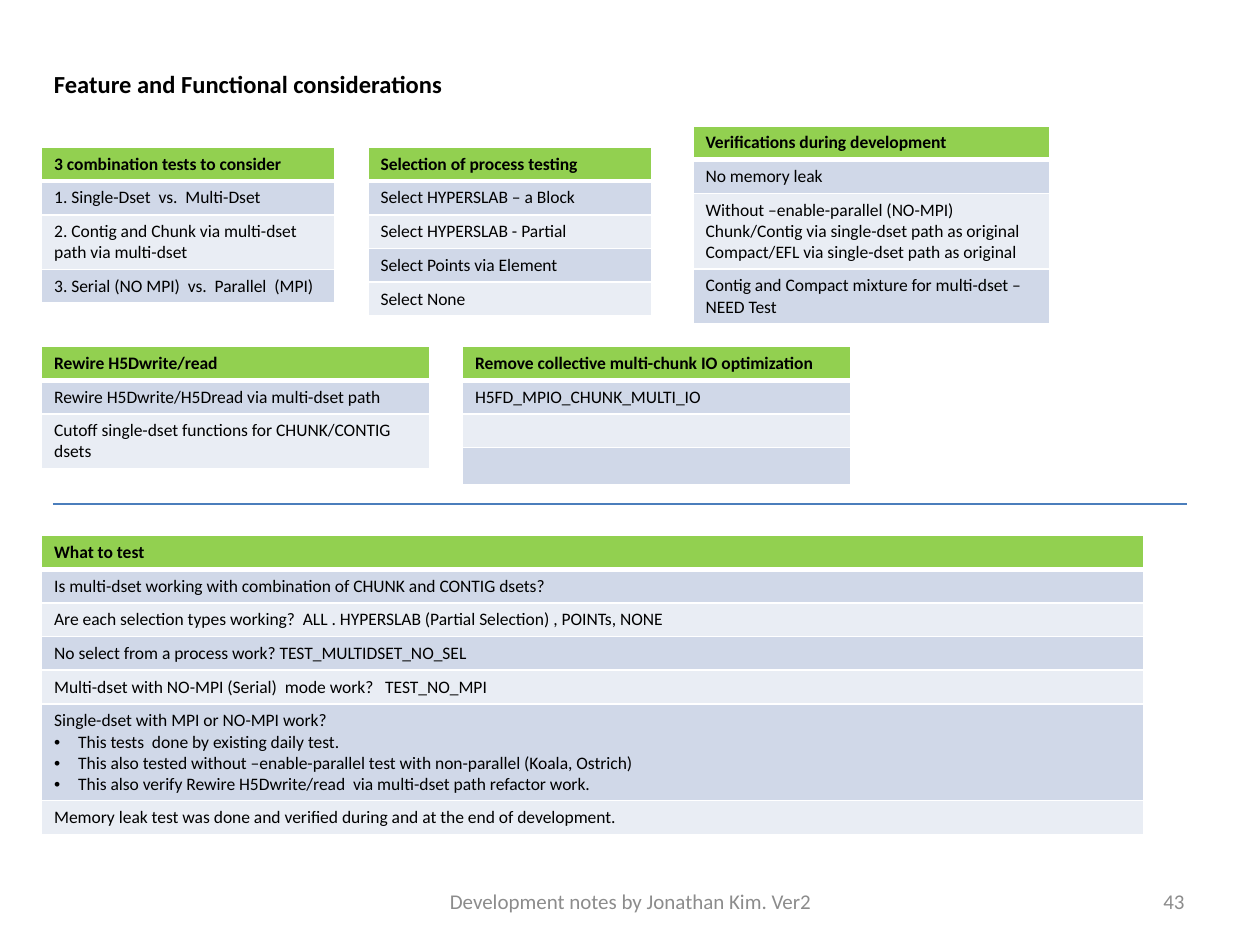
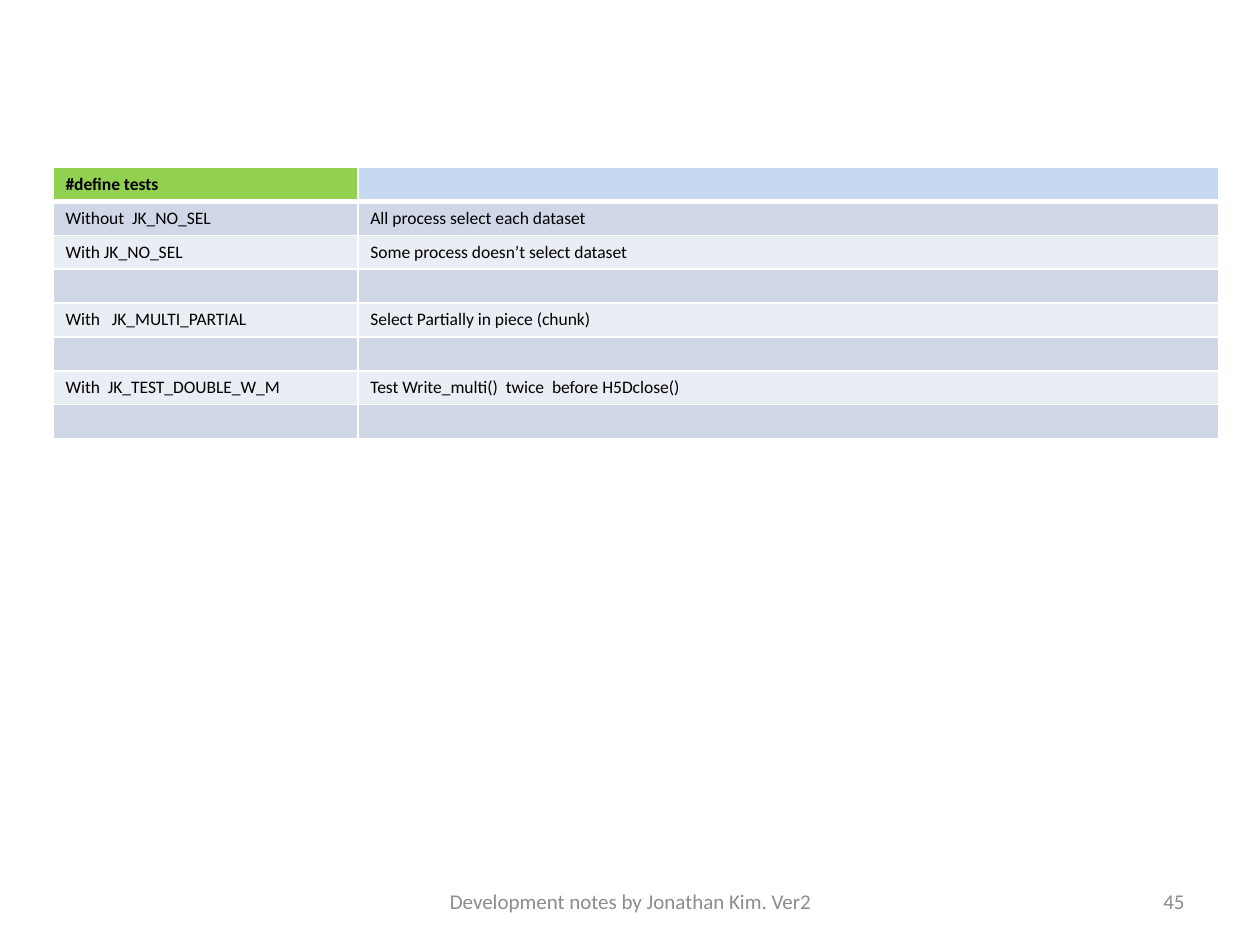
from lxml import etree
from pptx import Presentation
from pptx.dml.color import RGBColor
from pptx.enum.shapes import MSO_CONNECTOR
from pptx.enum.text import MSO_ANCHOR, PP_ALIGN
from pptx.oxml.ns import qn
from pptx.util import Inches, Pt

FONT = "Calibri"
BLACK, WHITE, GRAY = "000000", "FFFFFF", "8C8C8C"
GREEN, PALE_BLUE, RULE_BLUE = "92D050", "C6D9F1", "4B7EBC"
BANDS = ("E9EDF4", "D0D8E8")
BULLET = "• "
FOOTER = "Development notes by Jonathan Kim. Ver2"
TITLE_FMT = {"name": FONT, "size": Pt(14), "bold": True}
HEAD_FMT = {"name": FONT, "size": Pt(10), "bold": True}
BODY_FMT = {"name": FONT, "size": Pt(10), "bold": False}
FOOTER_FMT = {"name": FONT, "size": Pt(12)}

FEATURE_TABLES = [
    ((0.33, 1.17, 2.33), (1, 1, 2, 1), [
        "3 combination tests to consider",
        "1. Single-Dset  vs.  Multi-Dset",
        "2. Contig and Chunk via multi-dset path via multi-dset",
        "3. Serial (NO MPI)  vs.  Parallel  (MPI)"]),
    ((5.5, 1, 2.83), (1, 1, 3, 2), [
        "Verifications during development",
        "No memory leak",
        "Without –enable-parallel (NO-MPI)\n"
        "Chunk/Contig via single-dset path as original\n"
        "Compact/EFL via single-dset path as original",
        "Contig and Compact mixture for multi-dset – NEED Test"]),
    ((2.92, 1.17, 2.25), (1, 1, 1, 1, 1), [
        "Selection of process testing",
        "Select HYPERSLAB – a Block",
        "Select HYPERSLAB - Partial",
        "Select Points via Element",
        "Select None"]),
    ((0.33, 2.75, 3.08), (1, 1, 2), [
        "Rewire H5Dwrite/read",
        "Rewire H5Dwrite/H5Dread via multi-dset path",
        "Cutoff single-dset functions for CHUNK/CONTIG dsets"]),
    ((3.67, 2.75, 3.08), (1, 1, 1, 1.15), [
        "Remove collective multi-chunk IO optimization",
        "H5FD_MPIO_CHUNK_MULTI_IO", "", ""]),
    ((0.33, 4.25, 8.75), (1, 1, 1, 1, 1, 4, 1), [
        "What to test",
        "Is multi-dset working with combination of CHUNK and CONTIG dsets?",
        "Are each selection types working?  ALL . HYPERSLAB (Partial Selection) , POINTs, NONE",
        "No select from a process work? TEST_MULTIDSET_NO_SEL",
        "Multi-dset with NO-MPI (Serial)  mode work?   TEST_NO_MPI",
        "Single-dset with MPI or NO-MPI work?\n"
        "• This tests  done by existing daily test.\n"
        "• This also tested without –enable-parallel test with non-parallel (Koala, Ostrich)\n"
        "• This also verify Rewire H5Dwrite/read  via multi-dset path refactor work.",
        "Memory leak test was done and verified during and at the end of development."]),
]
DEFINE_TESTS = [
    ("#define tests", ""),
    ("Without  JK_NO_SEL", "All process select each dataset"),
    ("With JK_NO_SEL", "Some process doesn’t select dataset"),
    ("", ""),
    ("With   JK_MULTI_PARTIAL", "Select Partially in piece (chunk)"),
    ("", ""),
    ("With  JK_TEST_DOUBLE_W_M", "Test Write_multi()  twice  before H5Dclose()"),
    ("", ""),
]


def rgb(color):
    return RGBColor.from_string(color)


def add_run(p, text, fmt, color):
    r = p.add_run()
    r.text = text
    for key, value in fmt.items():
        setattr(r.font, key, value)
    r.font.color.rgb = rgb(color)


def add_text(s, box, text, fmt, color=BLACK, align=PP_ALIGN.LEFT, anchor=MSO_ANCHOR.TOP):
    tf = s.shapes.add_textbox(*map(Inches, box)).text_frame
    tf.word_wrap = True
    tf.vertical_anchor = anchor
    p = tf.paragraphs[0]
    p.alignment = align
    add_run(p, text, fmt, color)


def set_bullet(p):
    pPr = p._p.get_or_add_pPr()
    pPr.set("marL", str(Inches(0.19)))
    pPr.set("indent", str(-Inches(0.19)))
    etree.SubElement(pPr, qn("a:buFont"), typeface="Arial")
    etree.SubElement(pPr, qn("a:buChar"), char="•")


def set_borders(cell, row):
    widths = {"lnL": 1, "lnR": 1, "lnT": 3 if row == 1 else 1, "lnB": 3 if row == 0 else 1}
    tcPr = cell._tc.get_or_add_tcPr()
    for side, width in widths.items():
        ln = etree.SubElement(tcPr, qn(f"a:{side}"), w=str(Pt(width)))
        fill = etree.SubElement(ln, qn("a:solidFill"))
        etree.SubElement(fill, qn("a:srgbClr"), val=WHITE)


def fill_cell(cell, text, row, fill):
    set_borders(cell, row)
    cell.fill.solid()
    cell.fill.fore_color.rgb = rgb(fill)
    tf = cell.text_frame
    if not text:
        etree.SubElement(tf.paragraphs[0]._p, qn("a:endParaRPr"), sz="1000")
        return
    for i, line in enumerate(text.split("\n")):
        p = tf.add_paragraph() if i else tf.paragraphs[0]
        if line.startswith(BULLET):
            set_bullet(p)
        add_run(p, line.removeprefix(BULLET), BODY_FMT if row else HEAD_FMT, BLACK)


def add_grid(s, left, top, widths, lines, rows, head_fills=(GREEN,)):
    heights = [Inches(0.1 + n / 6) for n in lines]
    frame = s.shapes.add_table(len(rows), len(widths), Inches(left), Inches(top),
                               Inches(sum(widths)), sum(heights))
    table = frame.table
    for column, width in zip(table.columns, widths):
        column.width = Inches(width)
    for i, (texts, height) in enumerate(zip(rows, heights)):
        table.rows[i].height = height
        for j, text in enumerate(texts):
            fill_cell(table.cell(i, j), text, i, BANDS[i % 2] if i else head_fills[j])


def add_rule(s, left, top, width):
    line = s.shapes.add_connector(MSO_CONNECTOR.STRAIGHT, Inches(left), Inches(top),
                                  Inches(left + width), Inches(top))
    line.line.color.rgb = rgb(RULE_BLUE)
    line.line.width = Pt(0.75)
    etree.SubElement(line._element.spPr, qn("a:effectLst"))


def add_footer(s, number):
    for left, width, text, align in ((3.42, 3.17, FOOTER, PP_ALIGN.CENTER),
                                     (7.17, 2.33, str(number), PP_ALIGN.RIGHT)):
        add_text(s, (left, 6.95, width, 0.4), text, FOOTER_FMT, GRAY, align, MSO_ANCHOR.MIDDLE)


def features_slide(s):
    add_text(s, (0.33, 0.5, 9.09, 0.34), "Feature and Functional considerations", TITLE_FMT)
    for (left, top, width), lines, texts in FEATURE_TABLES:
        add_grid(s, left, top, [width], lines, [(text,) for text in texts])
    add_rule(s, 0.42, 4, 9)
    add_footer(s, 43)


def defines_slide(s):
    add_grid(s, 0.42, 1.33, [2.42, 6.83], [1] * len(DEFINE_TESTS), DEFINE_TESTS,
             (GREEN, PALE_BLUE))
    add_footer(s, 45)


def main():
    prs = Presentation()
    prs.slide_width, prs.slide_height = Inches(10), Inches(7.5)
    for build in (features_slide, defines_slide):
        build(prs.slides.add_slide(prs.slide_layouts[6]))
    prs.save("out.pptx")


if __name__ == "__main__":
    main()
